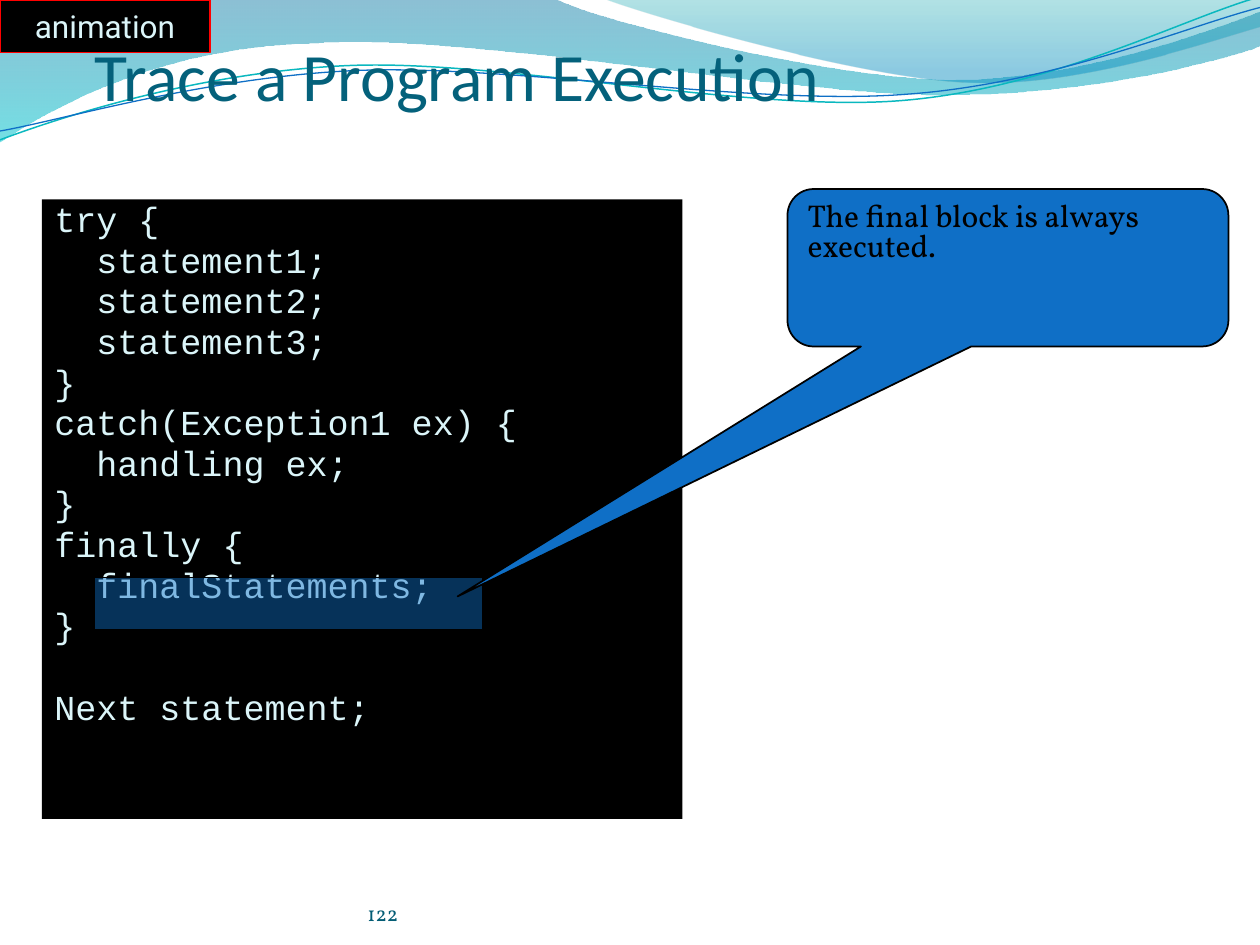
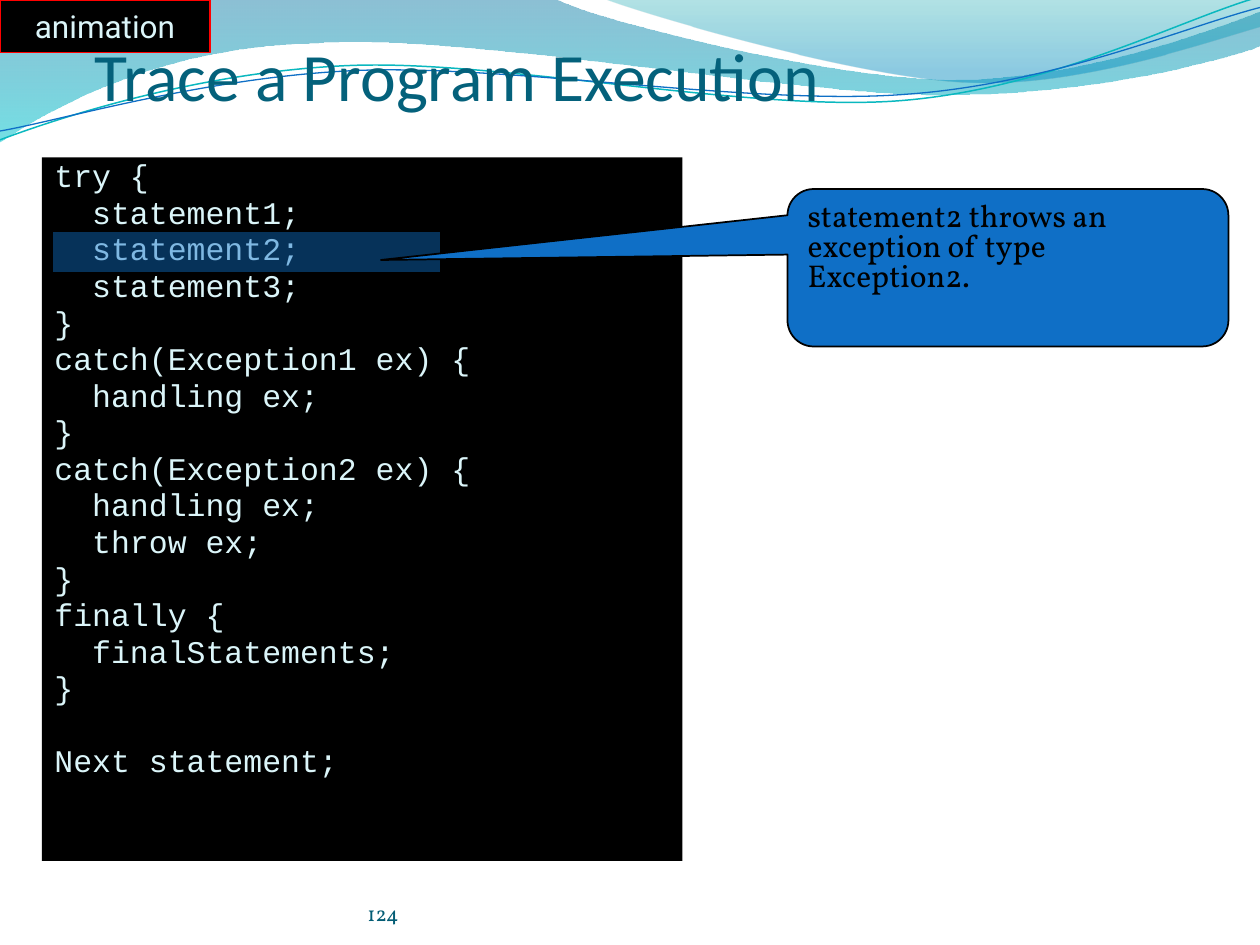
from dataclasses import dataclass
from math import cos, radians, sin

from lxml import etree
from pptx import Presentation
from pptx.dml.color import RGBColor
from pptx.enum.shapes import MSO_SHAPE
from pptx.enum.text import MSO_ANCHOR, PP_ALIGN
from pptx.oxml.ns import qn
from pptx.util import Inches, Pt

RECTANGLE = MSO_SHAPE.RECTANGLE
CALLOUT = MSO_SHAPE.ROUNDED_RECTANGULAR_CALLOUT
TOP, MIDDLE, BOTTOM = MSO_ANCHOR.TOP, MSO_ANCHOR.MIDDLE, MSO_ANCHOR.BOTTOM
LEFT, CENTER = PP_ALIGN.LEFT, PP_ALIGN.CENTER


@dataclass(frozen=True)
class Theme:
    black: str = "000000"
    red: str = "FF0000"
    blue: str = "0F6FC6"
    teal: str = "0AB8BF"
    pale: str = "DBF5F9"
    title: str = "04617B"
    number: str = "045D75"
    body_font: str = "Vollkorn"
    title_font: str = "Calibri"
    code_font: str = "Courier New"
    badge_font: str = "Roboto"
    title_size: float = 38.7
    text_size: float = 18
    number_size: float = 12
    highlight_opacity: int = 45
    line_spacing: float = 0.8
    space_before: float = 0.2
    code_pitch: float = 1.16
    wave_tilt: float = -2.7


THEME = Theme()
WIDTH, HEIGHT = Inches(10), Inches(7.5)
COLUMNS, ROWS = 120, 90

WAVES = [
    {
        "start": (0, 0),
        "segments": [
            [(4.4, -0.01)],
            [(4.76, 0.17), (6.64, 0.63), (7.58, 0.63)],
            [(8.53, 0.63), (9.58, 0.26), (10, 0.09)],
            [(10.01, 0.36)],
            [(9.83, 0.44), (8.7, 0.76), (7.46, 0.75)],
            [(6.22, 0.75), (3.82, 0.28), (2.57, 0.34)],
            [(1.29, 0.36), (0.46, 0.83), (-0.01, 1.13)],
            [(0, 0)],
        ],
        "stops": [(0, "0074A1", 45), (1, "00C6CF", 55)],
    },
    {
        "start": (4.79, -0.01),
        "segments": [
            [(5.09, 0.11), (6.82, 0.62), (7.69, 0.65)],
            [(8.56, 0.69), (9.61, 0.32), (10, 0.21)],
            [(10, 0)],
            [(4.79, -0.01)],
        ],
        "stops": [(0, "00A1A9", 30), (0.8, "008BBF", 45)],
    },
    {
        "start": (0, 1.11),
        "segments": [
            [(0.48, 0.93), (1.58, 0.57), (2.77, 0.52)],
            [(3.95, 0.47), (5.93, 0.89), (7.13, 0.8)],
            [(8.33, 0.71), (9.38, 0.15), (9.98, -0.02)],
        ],
        "stroke": (THEME.teal, 0.85),
        "pivot": (4.99, 0.58),
    },
    {
        "start": (0, 1.04),
        "segments": [
            [(0.47, 0.96), (1.64, 0.61), (2.83, 0.56)],
            [(4.03, 0.51), (5.97, 0.84), (7.17, 0.75)],
            [(8.36, 0.67), (9.41, 0.21), (10, 0.06)],
        ],
        "stroke": (THEME.blue, 0.75),
        "pivot": (5, 0.59),
    },
]

TRY_BLOCK = ["try {", "  statement1;", "  statement2;", "  statement3;", "}"]
CATCH_FIRST = ["catch(Exception1 ex) {", "  handling ex;", "}"]
CATCH_SECOND = ["catch(Exception2 ex) {", "  handling ex;", "  throw ex;", "}"]
FINALLY_BLOCK = ["finally {", "  finalStatements;", "}"]
AFTERWARDS = "Next statement;"

TRACE_STEPS = [
    {
        "number": "122",
        "code": TRY_BLOCK + CATCH_FIRST + FINALLY_BLOCK,
        "code_size": 20,
        "code_cell": (4, 19, 61, 59),
        "highlight_cell": (9, 55, 37, 5),
        "remark": "The final block is always executed.",
        "pointer": (-1.248, 2.087),
    },
    {
        "number": "124",
        "code": TRY_BLOCK + CATCH_FIRST + CATCH_SECOND + FINALLY_BLOCK,
        "code_size": 18,
        "code_cell": (4, 15, 61, 67),
        "highlight_cell": (5, 22, 37, 4),
        "remark": "statement2 throws an exception of type Exception2.",
        "pointer": (-1.422, -0.049),
    },
]


def apply_format(target, values):
    for attribute, value in values.items():
        setattr(target, attribute, value)


def rgb(color):
    return RGBColor.from_string(color)


def place(cell):
    column, row, width, height = cell
    return (
        int(column * WIDTH / COLUMNS), int(row * HEIGHT / ROWS),
        int(width * WIDTH / COLUMNS), int(height * HEIGHT / ROWS),
    )


def set_opacity(color_element, percent):
    etree.SubElement(color_element, qn("a:alpha")).set("val", str(percent * 1000))


def set_stroke(shape, color, width):
    shape.line.color.rgb = rgb(color)
    shape.line.width = Pt(width)


def write(shape, lines, font, size, color, frame=None, paragraph=None):
    apply_format(shape.text_frame, {"word_wrap": True, "vertical_anchor": TOP, **(frame or {})})
    for index, line in enumerate(lines):
        target = shape.text_frame.paragraphs[0] if index == 0 else shape.text_frame.add_paragraph()
        apply_format(target, {"alignment": LEFT, **(paragraph or {})})
        if index:
            target.space_before = Pt(size * THEME.space_before)
        run = target.add_run()
        run.text = line
        apply_format(run.font, {"name": font, "size": Pt(size)})
        run.font.color.rgb = rgb(color)


def add_panel(slide, cell, fill, stroke=None, preset=RECTANGLE):
    panel = slide.shapes.add_shape(preset, *place(cell))
    panel.shadow.inherit = False
    panel.fill.solid()
    panel.fill.fore_color.rgb = rgb(fill)
    if stroke:
        set_stroke(panel, stroke, 1)
    else:
        panel.line.fill.background()
    return panel


def add_label(slide, cell, text, font, size, color, top_inset=0):
    label = slide.shapes.add_textbox(*place(cell))
    frame = {
        "vertical_anchor": BOTTOM, "margin_left": 0, "margin_right": 0,
        "margin_top": Inches(top_inset), "margin_bottom": 0,
    }
    write(label, [text], font, size, color, frame)


def level(point, pivot):
    angle = radians(-THEME.wave_tilt)
    dx, dy = point[0] - pivot[0], point[1] - pivot[1]
    return (pivot[0] + dx * cos(angle) - dy * sin(angle),
            pivot[1] + dx * sin(angle) + dy * cos(angle))


def bend(wave, segments):
    edges = iter(list(wave._element.iter(qn("a:lnTo"))))
    for segment in segments:
        group = [next(edges) for _ in segment]
        if len(group) == 3:
            curve = etree.Element(qn("a:cubicBezTo"))
            group[0].addprevious(curve)
            for edge in group:
                curve.append(edge[0])
                edge.getparent().remove(edge)


def add_wave(slide, start, segments, stops=None, stroke=None, pivot=None):
    points = [start] + [point for segment in segments for point in segment]
    if pivot:
        points = [level(point, pivot) for point in points]
    points = [(Inches(x), Inches(y)) for x, y in points]
    builder = slide.shapes.build_freeform(*points[0], scale=1.0)
    builder.add_line_segments(points[1:], close=bool(stops))
    wave = builder.convert_to_shape()
    bend(wave, segments)
    wave.shadow.inherit = False
    if stroke:
        wave.rotation = THEME.wave_tilt
        wave.fill.background()
        set_stroke(wave, *stroke)
        return
    wave.line.fill.background()
    wave.fill.gradient()
    wave.fill.gradient_angle = 270
    for stop, (position, color, _) in zip(wave.fill.gradient_stops, stops):
        stop.position = position
        stop.color.rgb = rgb(color)
    for element, (_, _, opacity) in zip(wave._element.spPr.iter(qn("a:srgbClr")), stops):
        set_opacity(element, opacity)


def add_badge(slide):
    badge = add_panel(slide, (0, 0, 20, 5), THEME.black, THEME.red)
    write(badge, ["animation"], THEME.badge_font, THEME.text_size, THEME.pale,
          {"vertical_anchor": MIDDLE, "word_wrap": False}, {"alignment": CENTER})


def add_code(slide, cell, code, size):
    listing = add_panel(slide, cell, THEME.black)
    write(listing, code + [AFTERWARDS], THEME.code_font, size, THEME.pale,
          paragraph={"line_spacing": THEME.line_spacing})
    gap = THEME.space_before + THEME.code_pitch
    listing.text_frame.paragraphs[-1].space_before = Pt(size * gap)


def add_highlight(slide, cell):
    highlight = add_panel(slide, cell, THEME.blue, THEME.black)
    set_opacity(next(highlight._element.spPr.iter(qn("a:srgbClr"))), THEME.highlight_opacity)


def add_remark(slide, text, pointer):
    remark = add_panel(slide, (75, 18, 42, 15), THEME.blue, THEME.black, CALLOUT)
    for index, value in enumerate((*pointer, 0.167)):
        remark.adjustments[index] = value
    write(remark, [text], THEME.body_font, THEME.text_size, THEME.black,
          paragraph={"line_spacing": THEME.line_spacing})


def add_trace_slide(deck, step):
    slide = deck.slides.add_slide(deck.slide_layouts[6])
    for wave in WAVES:
        add_wave(slide, **wave)
    add_label(slide, (35, 83.4, 44, 4.8), step["number"],
              THEME.body_font, THEME.number_size, THEME.number)
    add_label(slide, (9, 4, 102, 7), "Trace a Program Execution",
              THEME.title_font, THEME.title_size, THEME.title, 0.05)
    add_badge(slide)
    add_code(slide, step["code_cell"], step["code"], step["code_size"])
    add_highlight(slide, step["highlight_cell"])
    add_remark(slide, step["remark"], step["pointer"])


def main():
    deck = Presentation()
    apply_format(deck, {"slide_width": WIDTH, "slide_height": HEIGHT})
    for step in TRACE_STEPS:
        add_trace_slide(deck, step)
    deck.save("out.pptx")


if __name__ == "__main__":
    main()
